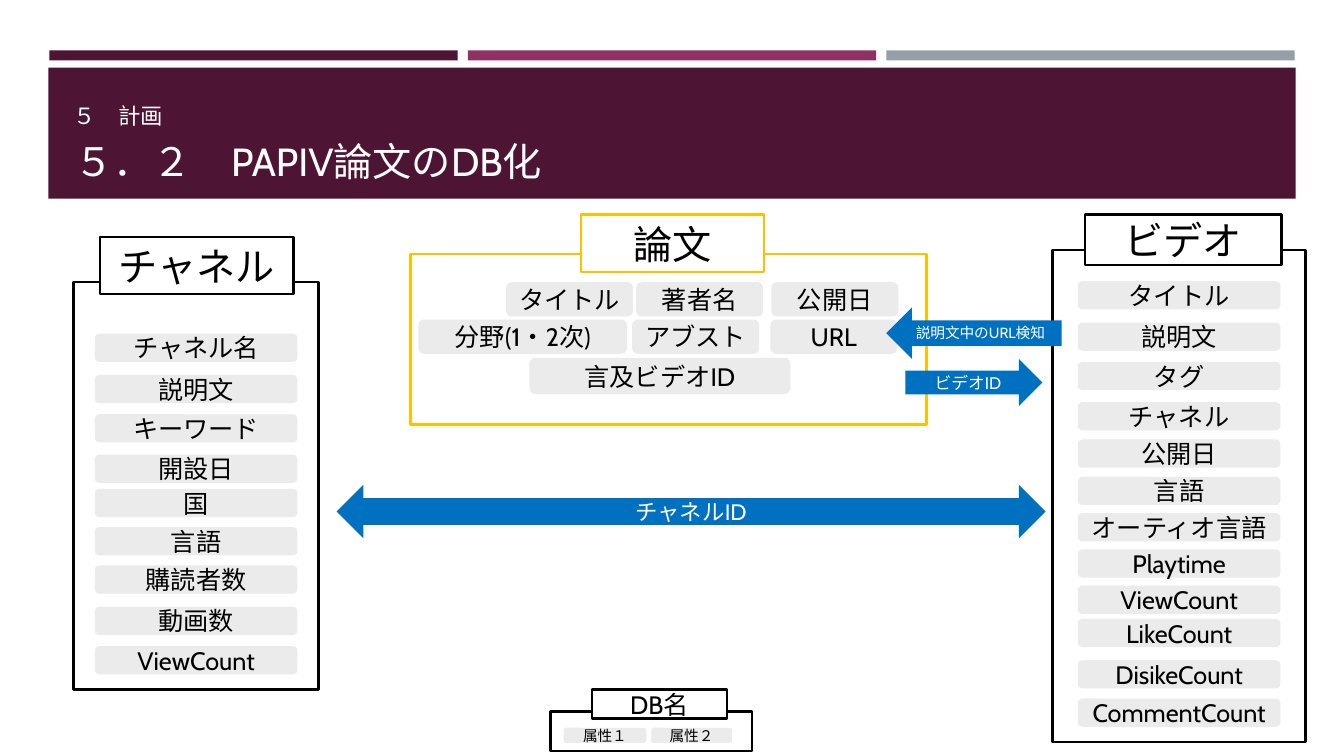
"""Build the slide that maps the channel, paper and video databases."""
from dataclasses import dataclass
from typing import Optional

from pptx import Presentation
from pptx.dml.color import RGBColor
from pptx.enum.shapes import MSO_SHAPE
from pptx.enum.text import MSO_ANCHOR, PP_ALIGN
from pptx.util import Inches, Pt

PLUM = RGBColor(0x4D, 0x14, 0x34)
MAGENTA = RGBColor(0x90, 0x31, 0x63)
SLATE = RGBColor(0x96, 0x9F, 0xA7)
GREY = RGBColor(0xEB, 0xEB, 0xEB)
BLUE = RGBColor(0x00, 0x70, 0xC0)
GOLD = RGBColor(0xFF, 0xC0, 0x00)
BLACK = RGBColor(0x00, 0x00, 0x00)
WHITE = RGBColor(0xFF, 0xFF, 0xFF)

Box = tuple[float, float, float, float]


@dataclass(frozen=True)
class Attribute:
    text: str
    box: Box


@dataclass(frozen=True)
class Database:
    name: str
    frame: Box
    label: Box
    attributes: list[Attribute]
    color: RGBColor = BLACK
    name_size: float = 28
    attribute_size: float = 18


@dataclass(frozen=True)
class Arrow:
    text: str
    kind: MSO_SHAPE
    box: Box
    size: float


def column(left: float, rows: dict[float, str]) -> list[Attribute]:
    """Stack equally sized attributes at the given tops."""
    return [Attribute(text, (left, top, 2.01, 0.28)) for top, text in rows.items()]


DATABASES = [
    Database("チャネル", (0.73, 2.8, 2.43, 4.04), (0.99, 2.35, 1.92, 0.57), column(0.94, {
        3.31: "チャネル名", 3.72: "説明文", 4.11: "キーワード", 4.51: "開設日", 4.85: "国",
        5.23: "言語", 5.61: "購読者数", 6.02: "動画数", 6.41: "ViewCount"})),
    Database("ビデオ", (10.44, 2.48, 2.51, 4.88), (10.76, 2.13, 1.95, 0.5), column(10.69, {
        2.79: "タイトル", 3.2: "説明文", 3.59: "タグ", 3.99: "チャネル", 4.36: "公開日",
        4.73: "言語", 5.09: "オーティオ言語", 5.45: "Playtime", 5.81: "ViewCount",
        6.14: "LikeCount", 6.55: "DisikeCount", 6.93: "CommentCount"})),
    Database("論文", (4.07, 2.52, 5.12, 1.69), (5.76, 2.13, 1.82, 0.57), [
        Attribute("タイトル", (5.02, 2.8, 1.26, 0.34)),
        Attribute("著者名", (6.31, 2.8, 1.26, 0.34)),
        Attribute("公開日", (7.65, 2.8, 1.26, 0.34)),
        Attribute("分野(1・2次)", (4.15, 3.17, 2.07, 0.34)),
        Attribute("アブスト", (6.27, 3.17, 1.26, 0.34)),
        Attribute("URL", (7.64, 3.17, 1.26, 0.34)),
        Attribute("言及ビデオID", (5.25, 3.55, 2.59, 0.36))], GOLD),
    Database("DB名", (5.46, 7.06, 2, 0.39), (5.87, 6.84, 1.34, 0.29), [
        Attribute("属性１", (5.59, 7.22, 0.82, 0.15)),
        Attribute("属性２", (6.46, 7.22, 0.8, 0.15))], name_size=18, attribute_size=10.5),
]
ARROWS = [
    Arrow("ビデオID", MSO_SHAPE.RIGHT_ARROW, (8.98, 3.56, 1.36, 0.47), 12),
    Arrow("説明文中のURL検知", MSO_SHAPE.LEFT_ARROW, (8.79, 3.05, 1.74, 0.51), 10.5),
    Arrow("チャネルID", MSO_SHAPE.LEFT_RIGHT_ARROW, (3.34, 4.81, 7.03, 0.53), 16),
]


def write(sp, text: str, size: float, color: RGBColor, align: PP_ALIGN,
          frame_format: dict) -> None:
    """Put one formatted run into a shape."""
    tf = sp.text_frame
    for name, value in frame_format.items():
        setattr(tf, name, value)
    p = tf.paragraphs[0]
    p.alignment = align
    r = p.add_run()
    r.text = text
    for name, value in {"name": "Cabin", "size": Pt(size)}.items():
        setattr(r.font, name, value)
    r.font.color.rgb = color


def add_box(s, kind: MSO_SHAPE, box: Box, fill: Optional[RGBColor] = None,
            line: Optional[RGBColor] = None, text: str = "", size: float = 18,
            color: RGBColor = BLACK) -> None:
    """Draw a preset shape with optional fill, outline and centred text."""
    sp = s.shapes.add_shape(kind, *map(Inches, box))
    sp.shadow.inherit = False
    if fill is None:
        sp.fill.background()
    else:
        sp.fill.solid()
        sp.fill.fore_color.rgb = fill
    if line is None:
        sp.line.fill.background()
    else:
        sp.line.color.rgb = line
        sp.line.width = Pt(1.75)
    if text:
        write(sp, text, size, color, PP_ALIGN.CENTER,
              {"word_wrap": False, "vertical_anchor": MSO_ANCHOR.MIDDLE})


def add_heading(s, box: Box, text: str, size: float) -> None:
    """Add a white heading that sits on the bottom of its box."""
    sp = s.shapes.add_textbox(*map(Inches, box))
    write(sp, text, size, WHITE, PP_ALIGN.LEFT,
          {"word_wrap": True, "vertical_anchor": MSO_ANCHOR.BOTTOM})


def add_database(s, db: Database) -> None:
    """Draw a database frame with its attributes and name."""
    for attribute in db.attributes:
        add_box(s, MSO_SHAPE.ROUNDED_RECTANGLE, attribute.box, GREY,
                text=attribute.text, size=db.attribute_size)
    add_box(s, MSO_SHAPE.RECTANGLE, db.frame, line=db.color)
    add_box(s, MSO_SHAPE.RECTANGLE, db.label, WHITE, db.color, db.name, db.name_size)


def main() -> None:
    """Build and save the presentation."""
    prs = Presentation()
    prs.slide_width, prs.slide_height = Inches(13.33), Inches(7.5)
    s = prs.slides.add_slide(prs.slide_layouts[6])
    for i, color in enumerate((PLUM, MAGENTA, SLATE)):
        add_box(s, MSO_SHAPE.RECTANGLE, (0.49 + 4.15 * i, 0.5, 4.05, 0.1), color)
    add_box(s, MSO_SHAPE.RECTANGLE, (0.48, 0.67, 12.37, 1.3), PLUM)
    add_heading(s, (0.63, 0.77, 12.06, 0.56), "５　計画", 16)
    add_heading(s, (0.64, 0.77, 12.06, 1.11), "５．２　PAPIV論文のDB化", 28)
    for db in DATABASES:
        add_database(s, db)
    for arrow in ARROWS:
        add_box(s, arrow.kind, arrow.box, BLUE, text=arrow.text, size=arrow.size, color=WHITE)
    prs.save("out.pptx")


if __name__ == "__main__":
    main()
